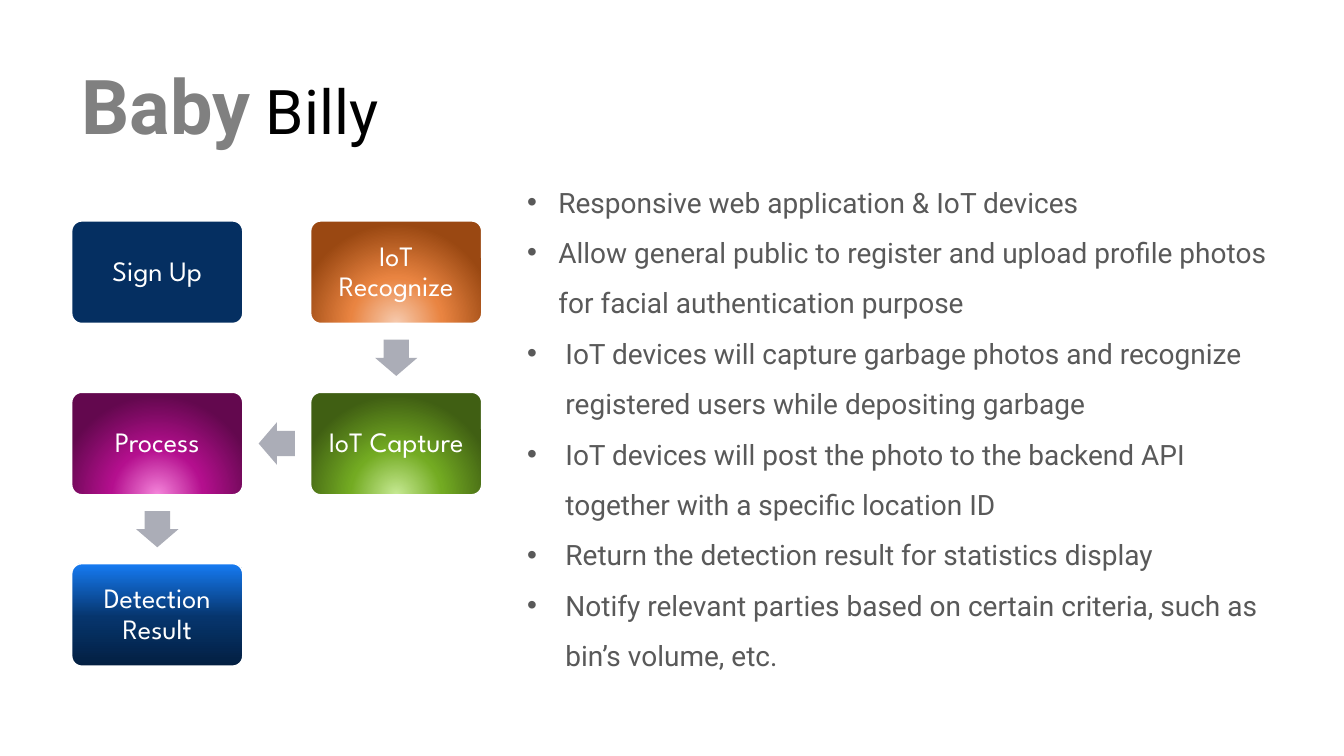
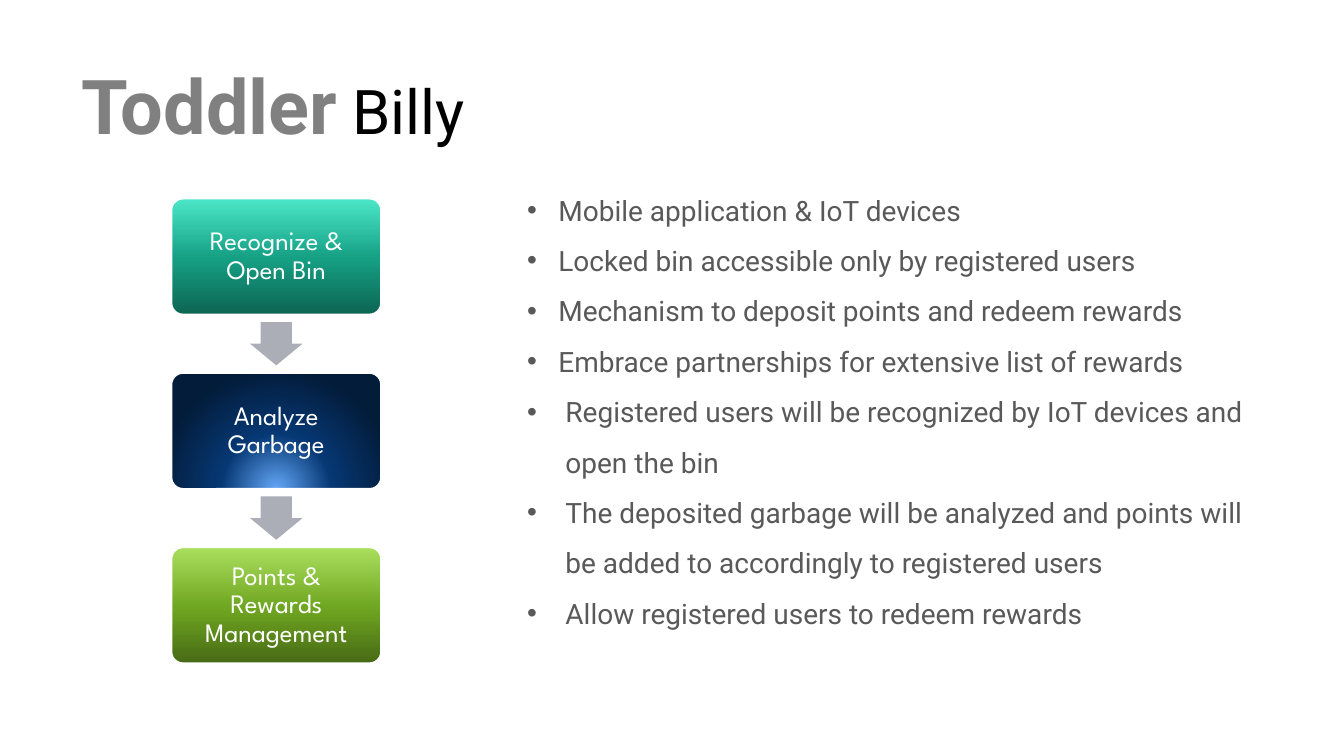
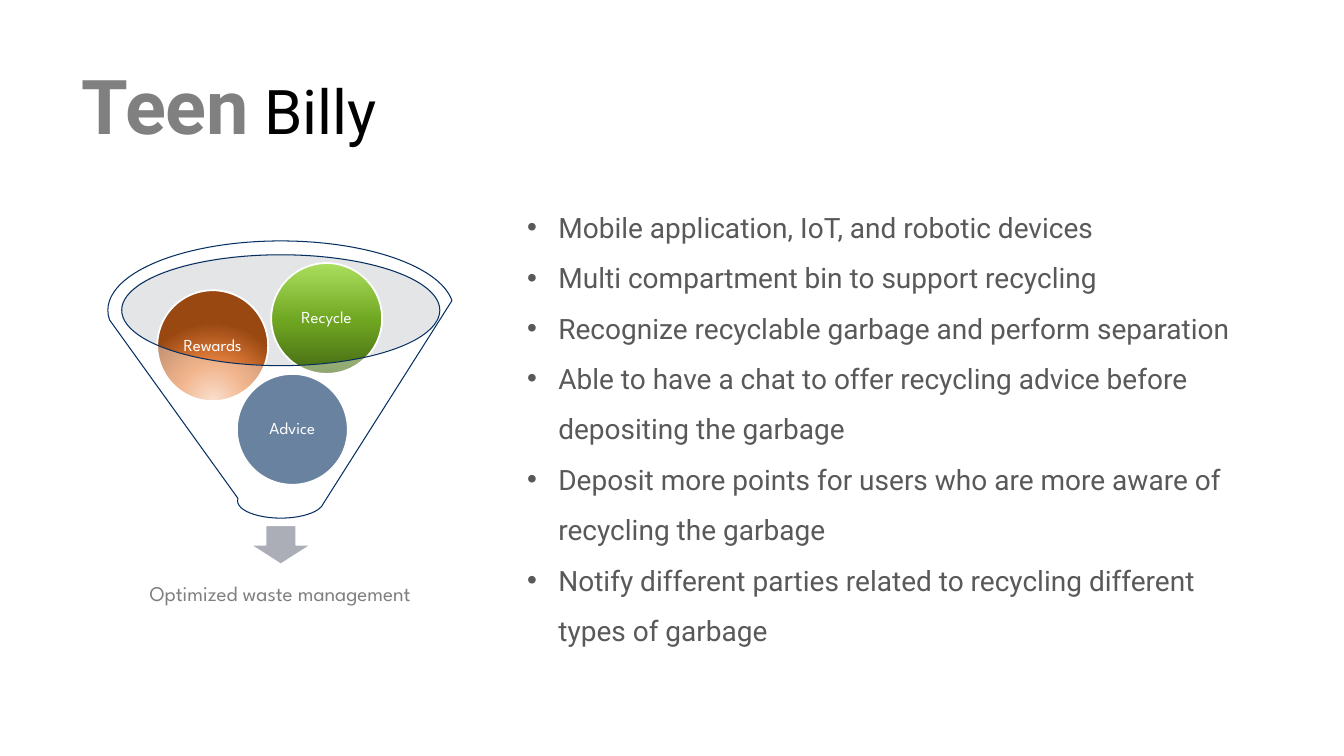
"""Build three slides on the growth stages of a smart bin."""
from lxml.etree import SubElement
from pptx import Presentation
from pptx.dml.color import RGBColor
from pptx.enum.shapes import MSO_SHAPE
from pptx.enum.text import MSO_ANCHOR, MSO_AUTO_SIZE, PP_ALIGN
from pptx.oxml.ns import qn
from pptx.util import Inches, Pt

COLORS = {
    "stage": "808080", "name": "000000", "body": "595959", "white": "FFFFFF",
    "navy": "052F61", "arrow": "ABADB7", "rim": "BDBEC5",
}
GLOWS = {
    "orange": ((0, "F6CBAF"), (46, "E98441"), (100, "9A4812")),
    "green": ((0, "C7EA94"), (46, "73AB22"), (100, "405F13")),
    "magenta": ((0, "F585DB"), (46, "B40F8E"), (100, "63084E")),
    "azure": ((0, "64A7F7"), (46, "063874"), (100, "031C3A")),
}
FADES = {
    "blue": ((0, "031F41"), (48, "06356D"), (100, "167BF3")),
    "teal": ((0, "0D6553"), (48, "159F83"), (100, "4BE7C8")),
    "lime": ((0, "476A15"), (48, "6FA621"), (100, "AADF5E")),
}
BODY_FONT = "Roboto"
LABEL_FONT = "League Spartan"
NARROW, WIDE = 0.31, 0.38


def style_run(run, font, size, color, bold=False):
    """Set the font of one run."""
    run.font.name = font
    run.font.size = Pt(size)
    run.font.bold = bold
    run.font.color.rgb = RGBColor.from_string(COLORS[color])


def add_title(page, stage):
    """Place the title with the stage emphasised."""
    title = page.shapes.title
    title.left, title.top = Inches(0.71), Inches(0.27)
    title.width, title.height = Inches(11.92), Inches(1.07)
    frame = title.text_frame
    frame.auto_size = MSO_AUTO_SIZE.NONE
    frame.vertical_anchor = MSO_ANCHOR.MIDDLE
    para = frame.paragraphs[0]
    para.alignment = PP_ALIGN.LEFT
    para.line_spacing = 1.5
    for text, size, color, bold in ((stage, 54, "stage", True), (" Billy", 44, "name", False)):
        span = para.add_run()
        span.text = text
        style_run(span, BODY_FONT, size, color, bold)


def add_bullets(page, top, width, height, items, anchor=MSO_ANCHOR.TOP):
    """Add the bulleted text from pairs of indent and text."""
    box = page.shapes.add_textbox(Inches(5.13), Inches(top), Inches(width), Inches(height))
    frame = box.text_frame
    frame.word_wrap = True
    frame.vertical_anchor = anchor
    frame.text = "\n".join(text for _, text in items)
    for para, (indent, _) in zip(frame.paragraphs, items):
        para.line_spacing = 1.5
        properties = para._p.get_or_add_pPr()
        properties.set("marL", str(Inches(indent)))
        properties.set("indent", str(-Inches(indent)))
        SubElement(properties, qn("a:buFont"), typeface="Arial")
        SubElement(properties, qn("a:buChar"), char="•")
        style_run(para.runs[0], BODY_FONT, 20, "body")


def fill_gradient(shape, stops, glow):
    """Fill a shape with a glow from below or a vertical fade."""
    shape.fill.gradient()
    gradient = shape._element.spPr.find(qn("a:gradFill"))
    for child in list(gradient):
        gradient.remove(child)
    stop_list = SubElement(gradient, qn("a:gsLst"))
    for position, color in stops:
        stop = SubElement(stop_list, qn("a:gs"), pos=str(position * 1000))
        SubElement(stop, qn("a:srgbClr"), val=color)
    if glow:
        circle = SubElement(gradient, qn("a:path"), path="circle")
        SubElement(circle, qn("a:fillToRect"), l="50000", t="130000", r="50000", b="-30000")
    else:
        SubElement(gradient, qn("a:lin"), ang="16200000", scaled="0")


def add_shape(page, kind, left, top, width, height, fill, line=None, weight=1.25, alpha=None):
    """Add a preset shape with a named fill and an optional outline."""
    shape = page.shapes.add_shape(kind, Inches(left), Inches(top), Inches(width), Inches(height))
    shape.shadow.inherit = False
    if fill in COLORS:
        shape.fill.solid()
        shape.fill.fore_color.rgb = RGBColor.from_string(COLORS[fill])
    else:
        fill_gradient(shape, GLOWS.get(fill) or FADES[fill], fill in GLOWS)
    if alpha:
        color = shape._element.spPr.find(qn("a:solidFill")).find(qn("a:srgbClr"))
        SubElement(color, qn("a:alpha"), val=str(alpha * 1000))
    if line:
        shape.line.color.rgb = RGBColor.from_string(COLORS[line])
        shape.line.width = Pt(weight)
    else:
        shape.line.fill.background()
    return shape


def add_label(shape, text, size, inset, color="white"):
    """Centre a label inside a shape or text box."""
    frame = shape.text_frame
    frame.word_wrap = True
    frame.vertical_anchor = MSO_ANCHOR.MIDDLE
    frame.margin_left = frame.margin_right = Inches(inset)
    frame.margin_top = frame.margin_bottom = Inches(inset)
    frame.text = text
    para = frame.paragraphs[0]
    para.alignment = PP_ALIGN.CENTER
    para.line_spacing = 0.9
    style_run(para.runs[0], LABEL_FONT, size, color)


def add_step(page, left, top, width, height, text, size, fill):
    """Add one rounded step of a flow."""
    step = add_shape(page, MSO_SHAPE.ROUNDED_RECTANGLE, left, top, width, height, fill, "white")
    step.adjustments[0] = 0.1
    add_label(step, text, size, 0.08)
    return step


def add_flow_arrow(page, start, end, length, breadth):
    """Put a block arrow midway between two steps."""
    center_x = (start.left + end.left + start.width) / 2 / Inches(1)
    center_y = (start.top + end.top + start.height) / 2 / Inches(1)
    arrow = add_shape(page, MSO_SHAPE.RIGHT_ARROW, center_x - length / 2,
                      center_y - breadth / 2, length, breadth, "arrow")
    arrow.adjustments[0], arrow.adjustments[1] = 0.6, 0.5
    arrow.rotation = 90 if start.left == end.left else 180


def add_baby_flow(page):
    """Draw the steps that wind through two columns."""
    steps = [
        add_step(page, 0.71 + 2.37 * column, 2.19 + 1.7 * row, 1.7, 1.02, text, 20, fill)
        for column, row, text, fill in (
            (0, 0, "Sign Up", "navy"),
            (1, 0, "IoT Recognize", "orange"),
            (1, 1, "IoT Capture", "green"),
            (0, 1, "Process", "magenta"),
            (0, 2, "Detection Result", "blue"),
        )
    ]
    for start, end in zip(steps[1:], steps[2:]):
        add_flow_arrow(page, start, end, 0.36, 0.42)


def add_toddler_flow(page):
    """Draw the steps in one column."""
    labels = (("Recognize & Open Bin", "teal"), ("Analyze Garbage", "azure"),
              ("Points & Rewards Management", "lime"))
    steps = [add_step(page, 1.7, 1.97 + 1.73 * row, 2.08, 1.15, text, 19, fill)
             for row, (text, fill) in enumerate(labels)]
    for start, end in zip(steps, steps[1:]):
        add_flow_arrow(page, start, end, 0.43, 0.52)


def add_teen_funnel(page):
    """Draw the funnel with its three inputs and its outcome."""
    add_shape(page, MSO_SHAPE.OVAL, 1.2, 2.52, 3.16, 1.1, "rim", alpha=40)
    add_shape(page, MSO_SHAPE.DOWN_ARROW, 2.48, 5.21, 0.61, 0.39, "arrow", "white")
    outcome = page.shapes.add_textbox(Inches(1.31), Inches(5.53), Inches(2.94), Inches(0.74))
    add_label(outcome, "Optimized waste management", 15, 0.12, "stage")
    for left, top, text, fill in ((2.35, 3.71, "Advice", "navy"),
                                  (1.56, 2.88, "Rewards", "orange"),
                                  (2.69, 2.61, "Recycle", "lime")):
        ball = add_shape(page, MSO_SHAPE.OVAL, left, top, 1.1, 1.1, fill, "white")
        add_label(ball, text, 12, 0.02)
    add_shape(page, MSO_SHAPE.FUNNEL, 1.07, 2.39, 3.43, 2.75, "white", "navy", 0.75, 40)


def add_page(deck, stage):
    """Add a title-only slide for one stage."""
    page = deck.slides.add_slide(deck.slide_layouts[5])
    add_title(page, stage)
    return page


def main():
    """Build and save the deck."""
    deck = Presentation()
    deck.slide_width, deck.slide_height = Inches(13.33), Inches(7.5)

    baby = add_page(deck, "Baby")
    add_bullets(baby, 1.62, 7.54, 5.54, (
        (NARROW, "Responsive web application & IoT devices"),
        (NARROW, "Allow general public to register and upload profile photos "
                 "for facial authentication purpose"),
        (WIDE, "IoT devices will capture garbage photos and recognize "
               "registered users while depositing garbage"),
        (WIDE, "IoT devices will post the photo to the backend API "
               "together with a specific location ID"),
        (WIDE, "Return the detection result for statistics display"),
        (WIDE, "Notify relevant parties based on certain criteria, such as bin’s volume, etc."),
    ))
    add_baby_flow(baby)

    toddler = add_page(deck, "Toddler")
    add_bullets(toddler, 1.7, 7.5, 5.21, (
        (NARROW, "Mobile application & IoT devices"),
        (NARROW, "Locked bin accessible only by registered users"),
        (NARROW, "Mechanism to deposit points and redeem rewards"),
        (NARROW, "Embrace partnerships for extensive list of rewards"),
        (WIDE, "Registered users will be recognized by IoT devices and open the bin"),
        (WIDE, "The deposited garbage will be analyzed and points will "
               "be added to accordingly to registered users"),
        (WIDE, "Allow registered users to redeem rewards"),
    ))
    add_toddler_flow(toddler)

    teen = add_page(deck, "Teen")
    add_bullets(teen, 1.7, 7.5, 4.94, [(NARROW, text) for text in (
        "Mobile application, IoT, and robotic devices",
        "Multi compartment bin to support recycling",
        "Recognize recyclable garbage and perform separation",
        "Able to have a chat to offer recycling advice before depositing the garbage",
        "Deposit more points for users who are more aware of recycling the garbage",
        "Notify different parties related to recycling different types of garbage",
    )], MSO_ANCHOR.MIDDLE)
    add_teen_funnel(teen)

    deck.save("out.pptx")


main()
